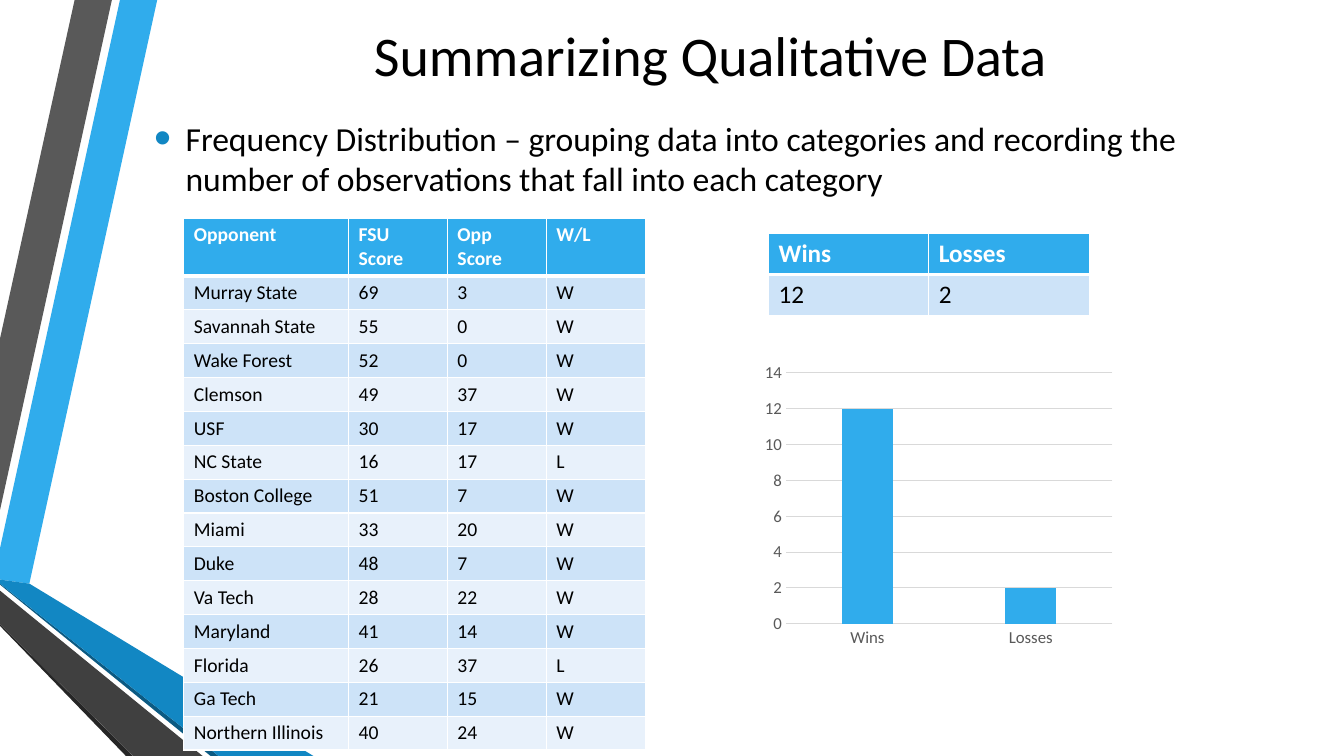
from dataclasses import dataclass

from lxml.etree import SubElement
from pptx import Presentation
from pptx.chart.data import CategoryChartData
from pptx.dml.color import RGBColor
from pptx.enum.chart import XL_CHART_TYPE as ChartType, XL_TICK_MARK as TickMark
from pptx.enum.text import MSO_ANCHOR as Anchor, PP_ALIGN as Align
from pptx.oxml import parse_xml
from pptx.oxml.ns import nsdecls, qn
from pptx.util import Pt

FONT = "Calibri"
COLORS = {
    "blue": "30ACEC", "mid_blue": "1287C3", "deep_blue": "0C5A82",
    "gray": "595959", "dark_gray": "404040", "near_black": "262626",
    "black": "000000", "white": "FFFFFF", "grid": "D9D9D9",
    "band_dark": "CDE3F8", "band_light": "E8F1FB",
}


@dataclass
class Ribbon:
    color: str
    points: list[tuple[float, float]]


@dataclass
class Grid:
    left: float
    top: float
    widths: list[float]
    header_height: float
    row_height: float
    size: float
    rows: list[tuple[str, ...]]


RIBBONS = [
    Ribbon("blue", [(0, 391.7), (0, 414), (21, 416.9), (112.3, 0), (85.7, 0)]),
    Ribbon("gray", [(79.9, 0), (53.3, 0), (0, 241.9), (0, 364.3)]),
    Ribbon("near_black", [(0, 445.7), (0, 447.1), (90, 540), (95, 540)]),
    Ribbon("deep_blue", [(0, 416.9), (0, 417.6), (150.5, 540), (156.2, 540)]),
    Ribbon("mid_blue", [(0, 416.9), (156.2, 540), (223.9, 540), (21, 416.9), (0, 414)]),
    Ribbon("dark_gray", [(0, 445.7), (95, 540), (144.7, 540), (0, 421.9)]),
]

GAMES = Grid(131.3, 155.8, [117.7, 70.6, 70.6, 71], 41.4, 24.2, 14, [
    ("Opponent", "FSU Score", "Opp Score", "W/L"),
    ("Murray State", "69", "3", "W"),
    ("Savannah State", "55", "0", "W"),
    ("Wake Forest", "52", "0", "W"),
    ("Clemson", "49", "37", "W"),
    ("USF", "30", "17", "W"),
    ("NC State", "16", "17", "L"),
    ("Boston College", "51", "7", "W"),
    ("Miami", "33", "20", "W"),
    ("Duke", "48", "7", "W"),
    ("Va Tech", "28", "22", "W"),
    ("Maryland", "41", "14", "W"),
    ("Florida", "26", "37", "L"),
    ("Ga Tech", "21", "15", "W"),
    ("Northern Illinois", "40", "24", "W"),
])
RECORD = Grid(549, 166.8, [114.5, 114.5], 29.2, 29.2, 18,
              [("Wins", "Losses"), ("12", "2")])


def rgb(name: str) -> RGBColor:
    return RGBColor.from_string(COLORS[name])


def style_font(font, size: float, color: str, bold: bool = False) -> None:
    font.name, font.size, font.bold = FONT, Pt(size), bold
    font.color.rgb = rgb(color)


def draw_ribbon(slide, ribbon: Ribbon) -> None:
    corners = [(Pt(x), Pt(y)) for x, y in ribbon.points]
    builder = slide.shapes.build_freeform(*corners[0])
    builder.add_line_segments(corners[1:], close=True)
    shape = builder.convert_to_shape()
    shape.shadow.inherit = False
    shape.fill.solid()
    shape.fill.fore_color.rgb = rgb(ribbon.color)
    shape.line.fill.background()


def add_text(slide, top: float, height: float, text: str, size: float, anchor: Anchor):
    text_frame = slide.shapes.add_textbox(Pt(103), Pt(top), Pt(808.6), Pt(height)).text_frame
    text_frame.word_wrap = True
    text_frame.vertical_anchor = anchor
    text_frame.text = text
    paragraph = text_frame.paragraphs[0]
    style_font(paragraph.runs[0].font, size, "black")
    return paragraph


def add_bullet(paragraph) -> None:
    properties = paragraph._p.get_or_add_pPr()
    properties.set("marL", str(Pt(22.5)))
    properties.set("indent", str(-Pt(22.5)))
    color = SubElement(properties, qn("a:buClr"))
    SubElement(color, qn("a:srgbClr"), val=COLORS["mid_blue"])
    SubElement(properties, qn("a:buSzPct"), val="145000")
    SubElement(properties, qn("a:buFont"), typeface="Arial")
    SubElement(properties, qn("a:buChar"), char="•")


def add_borders(cell, bottom: float) -> None:
    properties = cell._tc.get_or_add_tcPr()
    for side, width in (("L", 1), ("R", 1), ("T", 1), ("B", bottom)):
        line = SubElement(properties, qn(f"a:ln{side}"), w=str(Pt(width)))
        fill = SubElement(line, qn("a:solidFill"))
        SubElement(fill, qn("a:srgbClr"), val=COLORS["white"])


def draw_grid(slide, grid: Grid) -> None:
    height = grid.header_height + grid.row_height * (len(grid.rows) - 1)
    table = slide.shapes.add_table(
        len(grid.rows), len(grid.widths), Pt(grid.left), Pt(grid.top),
        Pt(sum(grid.widths)), Pt(height)).table
    for column, width in zip(table.columns, grid.widths):
        column.width = Pt(width)
    for index, values in enumerate(grid.rows):
        header = index == 0
        band = "blue" if header else "band_dark" if index % 2 else "band_light"
        table.rows[index].height = Pt(grid.header_height if header else grid.row_height)
        for cell, value in zip(table.rows[index].cells, values):
            add_borders(cell, 3 if header else 1)
            cell.fill.solid()
            cell.fill.fore_color.rgb = rgb(band)
            cell.text_frame.text = value
            style_font(cell.text_frame.paragraphs[0].runs[0].font, grid.size,
                       "white" if header else "black", header)


def draw_chart(slide) -> None:
    categories, counts = RECORD.rows
    data = CategoryChartData()
    data.categories = categories
    data.add_series("Series 1", [int(count) for count in counts])
    chart = slide.shapes.add_chart(ChartType.COLUMN_CLUSTERED, Pt(532), Pt(252),
                                   Pt(273.6), Pt(220.3), data).chart
    chart.has_legend = chart.has_title = False
    style_font(chart.font, 10, "black")

    # Columns
    plot = chart.plots[0]
    plot.vary_by_categories = False
    plot.gap_width, plot.overlap = 219, -27
    fill = plot.series[0].format.fill
    fill.solid()
    fill.fore_color.rgb = rgb("blue")

    # Axes
    category_axis, value_axis = chart.category_axis, chart.value_axis
    for axis in (category_axis, value_axis):
        axis.major_tick_mark = axis.minor_tick_mark = TickMark.NONE
        style_font(axis.tick_labels.font, 12, "gray")
    value_axis.minimum_scale, value_axis.maximum_scale, value_axis.major_unit = 0, 14, 2
    value_axis.format.line.fill.background()
    for line in (category_axis.format.line, value_axis.major_gridlines.format.line):
        line.color.rgb = rgb("grid")
        line.width = Pt(0.75)

    # Inner plot area
    plot_area = chart._chartSpace.chart.plotArea
    for layout in plot_area.findall(qn("c:layout")):
        plot_area.remove(layout)
    plot_area.insert(0, parse_xml(
        f'<c:layout {nsdecls("c")}><c:manualLayout><c:layoutTarget val="inner"/>'
        '<c:xMode val="edge"/><c:yMode val="edge"/><c:x val="0.107"/><c:y val="0.065"/>'
        '<c:w val="0.853"/><c:h val="0.814"/></c:manualLayout></c:layout>'))


def main() -> None:
    presentation = Presentation()
    presentation.slide_width, presentation.slide_height = Pt(960), Pt(540)
    slide = presentation.slides.add_slide(presentation.slide_layouts[6])

    # Ribbons on the left edge
    for ribbon in RIBBONS:
        draw_ribbon(slide, ribbon)

    # Title and definition
    title = add_text(slide, 0, 77.8, "Summarizing Qualitative Data", 40, Anchor.MIDDLE)
    title.alignment = Align.CENTER
    definition = add_text(
        slide, 80.6, 77, "Frequency Distribution – grouping data into categories and "
        "recording the number of observations that fall into each category", 24, Anchor.TOP)
    definition.space_before, definition.space_after = Pt(4.8), Pt(6)
    add_bullet(definition)

    # Season results, summary and chart
    for grid in (GAMES, RECORD):
        draw_grid(slide, grid)
    draw_chart(slide)

    presentation.save("out.pptx")


if __name__ == "__main__":
    main()
